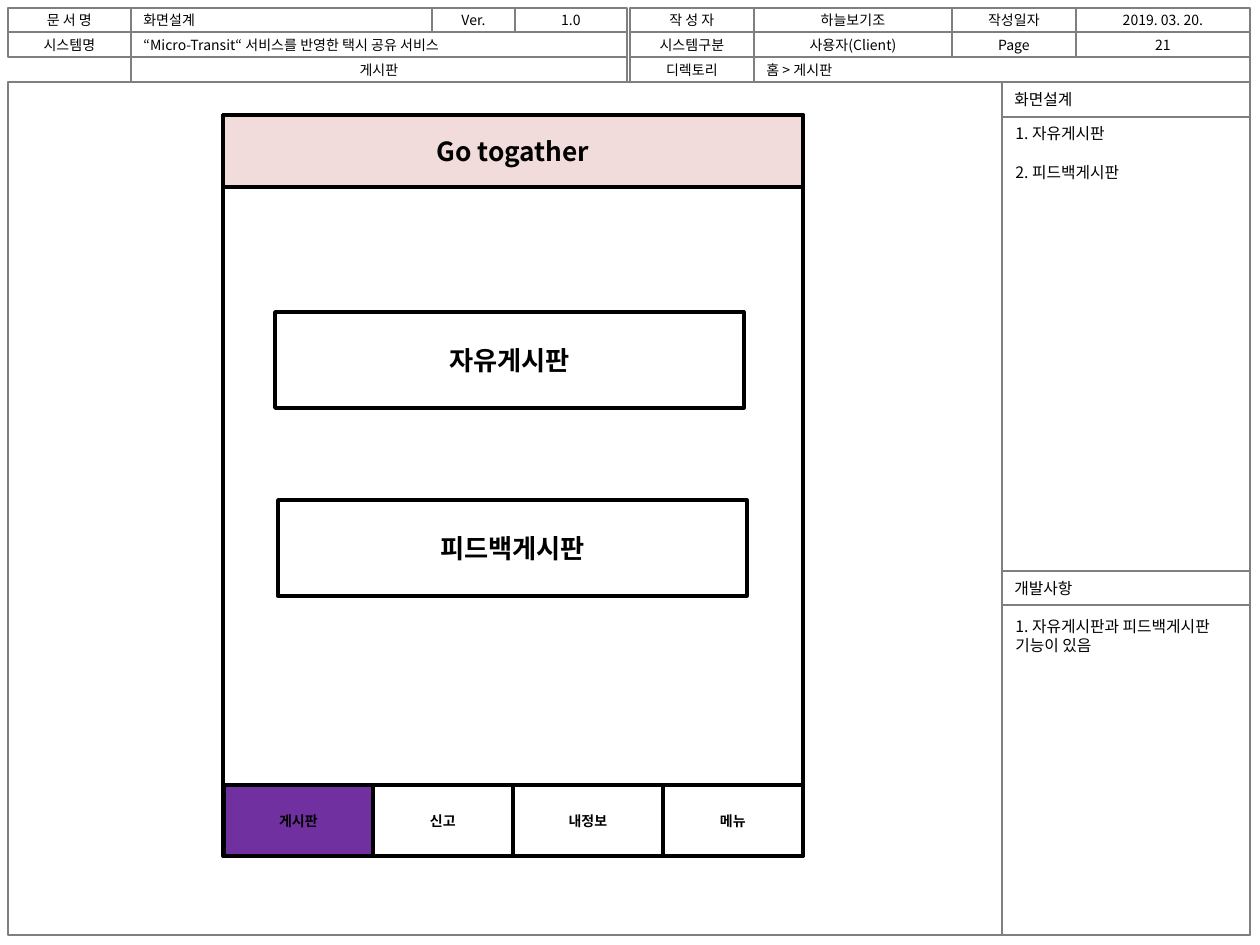
from itertools import pairwise

from lxml.etree import SubElement
from pptx import Presentation
from pptx.dml.color import RGBColor
from pptx.enum.shapes import MSO_SHAPE as SHAPE
from pptx.enum.text import MSO_ANCHOR as ANCHOR, PP_ALIGN as ALIGN
from pptx.oxml.ns import qn
from pptx.util import Emu, Pt

PX = 914400 / 126
FONT = "Noto Sans CJK KR"
COLORS = {"grid": "7F7F7F", "ink": "000000", "white": "FFFFFF",
          "header": "F2DCDB", "active": "7030A0"}

# Document header: (text, left, right, alignment) for each row
ROW_EDGES = [8, 32, 57, 82]
HEADER_ROWS = [
    [("문 서 명", 8, 131, "c"), ("화면설계", 131, 432, "l"),
     ("Ver.", 432, 515, "c"), ("1.0", 515, 627, "c"),
     ("작 성 자", 630, 754, "c"), ("하늘보기조", 754, 952, "c"),
     ("작성일자", 952, 1076, "c"), ("2019. 03. 20.", 1076, 1250, "c")],
    [("시스템명", 8, 131, "c"),
     ("“Micro-Transit“ 서비스를 반영한 택시 공유 서비스", 131, 627, "l"),
     ("시스템구분", 630, 754, "c"), ("사용자(Client)", 754, 952, "c"),
     ("Page", 952, 1076, "c"), ("21", 1076, 1250, "c")],
    [("게시판", 131, 627, "c"), ("디렉토리", 630, 754, "c"),
     ("홈 > 게시판", 754, 1250, "l")],
]

# Side panels: (title, top, title bottom, panel bottom, notes top, notes)
SIDE_LEFT, SIDE_RIGHT = 1002, 1250
PANELS = [
    ("화면설계", 82, 117, 571, 118, ["1. 자유게시판", "2. 피드백게시판"]),
    ("개발사항", 571, 605, 935, 611, ["1. 자유게시판과 피드백게시판 기능이 있음"]),
]

# App screen
SCREEN = (223, 115, 580, 741)
TITLE, TITLE_HEIGHT = "Go togather", 72
BUTTONS = [("자유게시판", 275, 312), ("피드백게시판", 278, 500)]
BUTTON_SIZE = (469, 96)
TABS = ["게시판", "신고", "내정보", "메뉴"]
TAB_EDGES = [224, 373, 513, 663, 803]
TAB_TOP, TAB_HEIGHT = 785, 71
ALIGNMENTS = {"l": ALIGN.LEFT, "c": ALIGN.CENTER}


def color(name):
    return RGBColor.from_string(COLORS[name])


def emu(*lengths):
    return [Emu(round(length * PX)) for length in lengths]


def write(shape, lines, size, align="c", bold=False, anchor=ANCHOR.MIDDLE):
    frame = shape.text_frame
    frame.word_wrap = True
    frame.vertical_anchor = anchor
    frame.text = "\n".join(lines)
    for index, paragraph in enumerate(frame.paragraphs):
        paragraph.alignment = ALIGNMENTS[align]
        if index:
            paragraph.space_before = Pt(11)
        for run in paragraph.runs:
            font = run.font
            font.size, font.bold, font.name = Pt(size), bold, FONT
            font.color.rgb = color("ink")
            SubElement(font._element, qn("a:ea"), typeface=FONT)


def add_box(shapes, box, line="grid", weight=0.75, fill=None):
    shape = shapes.add_shape(SHAPE.RECTANGLE, *emu(*box))
    shape.shadow.inherit = False
    shape.line.color.rgb = color(line)
    shape.line.width = Pt(weight)
    if fill:
        shape.fill.solid()
        shape.fill.fore_color.rgb = color(fill)
    else:
        shape.fill.background()
    return shape


def add_header(shapes):
    for (top, bottom), cells in zip(pairwise(ROW_EDGES), HEADER_ROWS):
        for text, left, right, align in cells:
            cell = add_box(shapes, (left, top, right - left, bottom - top))
            write(cell, [text], 8, align)


def add_panels(shapes):
    width = SIDE_RIGHT - SIDE_LEFT
    for title, top, split, bottom, notes_top, notes in PANELS:
        heading = add_box(shapes, (SIDE_LEFT, top, width, split - top))
        write(heading, [title], 9, "l")
        add_box(shapes, (SIDE_LEFT, split, width, bottom - split))
        notes_box = shapes.add_textbox(
            *emu(SIDE_LEFT + 1, notes_top, width - 2, 72))
        write(notes_box, notes, 9, "l", anchor=ANCHOR.TOP)


def add_screen(shapes):
    left, top, width, _ = SCREEN

    def add_part(box, fill="white"):
        return add_box(shapes, box, "ink", 2, fill)

    add_part(SCREEN)
    title_bar = add_part((left, top, width, TITLE_HEIGHT), "header")
    write(title_bar, [TITLE], 15, bold=True)
    for label, x, y in BUTTONS:
        write(add_part((x, y, *BUTTON_SIZE)), [label], 15, bold=True)
    for index, (label, (start, end)) in enumerate(zip(TABS, pairwise(TAB_EDGES))):
        tab = add_part((start, TAB_TOP, end - start, TAB_HEIGHT),
                       "white" if index else "active")
        write(tab, [label], 8, bold=True)


def main():
    deck = Presentation()
    deck.slide_width, deck.slide_height = emu(1260, 945)
    shapes = deck.slides.add_slide(deck.slide_layouts[6]).shapes
    add_box(shapes, (8, 82, 1242, 853))
    add_header(shapes)
    add_panels(shapes)
    add_screen(shapes)
    deck.save("out.pptx")


if __name__ == "__main__":
    main()
